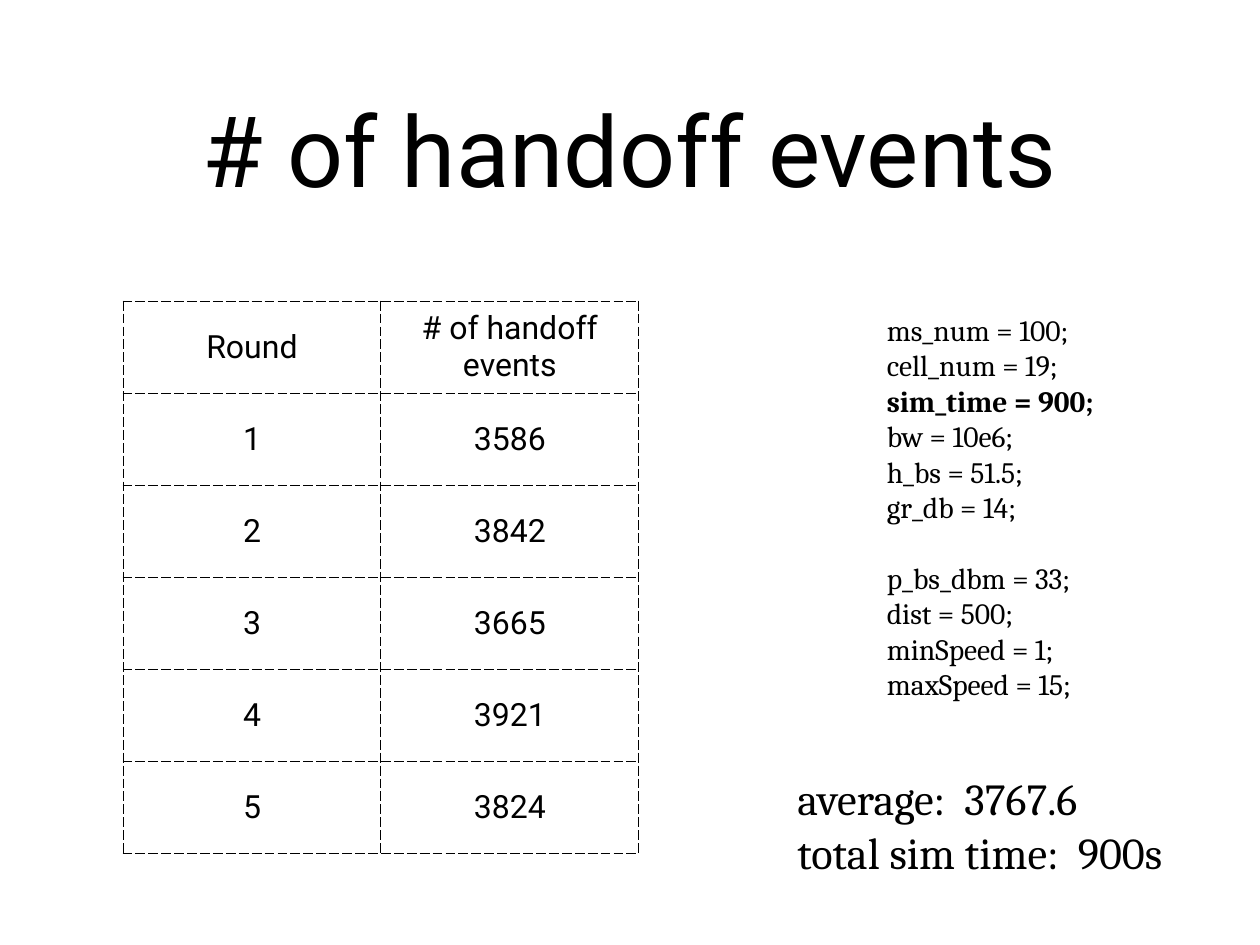
from dataclasses import dataclass

from lxml.etree import SubElement
from pptx import Presentation
from pptx.dml.color import RGBColor
from pptx.enum.text import MSO_ANCHOR as Anchor, PP_ALIGN as Align
from pptx.oxml.ns import qn
from pptx.slide import Slide
from pptx.table import _Cell as Cell
from pptx.text.text import TextFrame
from pptx.util import Inches, Pt

SLIDE_WIDTH, SLIDE_HEIGHT = Inches(14.22), Inches(10.67)
GRID_COLUMNS, GRID_ROWS = 128, 96
INSET = Inches(0.06)
BLACK = "000000"
SANS, SERIF = "Roboto", "Cambria"

TITLE = "# of handoff events"
HANDOFFS = [3586, 3842, 3665, 3921, 3824]


@dataclass(frozen=True)
class Box:
    """A rectangle in grid columns and rows."""
    column: float
    row: float
    columns: float
    rows: float

    def lengths(self) -> tuple[int, int, int, int]:
        return (across(self.column), down(self.row),
                across(self.columns), down(self.rows))


@dataclass(frozen=True)
class Note:
    box: Box
    size: float
    lines: tuple[str, ...]
    bold_line: str = ""
    group_start: str = ""


TITLE_BOX = Box(9.36, 4.41, 109.27, 21.24)
TABLE_BOX = Box(12.5, 30.6, 52.4, 56.16)
NOTES = [
    Note(Box(80.46, 77.4, 41.58, 12.78), 36,
         ("average:  3767.6", "total sim time:  900s")),
    Note(Box(89.55, 29.61, 27.99, 43.74), 24,
         ("ms_num = 100;", "cell_num = 19;", "sim_time = 900;", "bw = 10e6;",
          "h_bs = 51.5;", "gr_db = 14;", "p_bs_dbm = 33;", "dist = 500;",
          "minSpeed = 1;", "maxSpeed = 15;"),
         bold_line="sim_time = 900;", group_start="p_bs_dbm = 33;"),
]


def across(columns: float) -> int:
    return round(SLIDE_WIDTH * columns / GRID_COLUMNS)


def down(rows: float) -> int:
    return round(SLIDE_HEIGHT * rows / GRID_ROWS)


def color(value: str) -> RGBColor:
    return RGBColor.from_string(value)


def write(frame: TextFrame, *lines: str, size: float, font: str,
          align: Align = Align.LEFT, bold_line: str = "",
          group_start: str = "") -> None:
    """Fill a frame, leaving one line's height above group_start."""
    for index, line in enumerate(lines):
        paragraph = frame.paragraphs[0] if index == 0 else frame.add_paragraph()
        paragraph.alignment = align
        if line == group_start:
            paragraph.space_before = Pt(size * 1.2)
        run = paragraph.add_run()
        run.text = line
        run.font.name = font
        run.font.size = Pt(size)
        run.font.bold = line == bold_line
        run.font.color.rgb = color(BLACK)


def set_insets(target: TextFrame | Cell) -> None:
    target.margin_left = target.margin_right = INSET
    target.margin_top = target.margin_bottom = INSET
    target.vertical_anchor = Anchor.MIDDLE


def add_dashed_borders(cell: Cell) -> None:
    properties = cell._tc.get_or_add_tcPr()
    for side in ("lnL", "lnR", "lnT", "lnB"):
        line = SubElement(properties, qn(f"a:{side}"), w=str(Pt(1)))
        fill = SubElement(line, qn("a:solidFill"))
        SubElement(fill, qn("a:srgbClr"), val=BLACK)
        SubElement(line, qn("a:prstDash"), val="lgDash")


def add_title(slide: Slide) -> None:
    title = slide.shapes.title
    title.left, title.top, title.width, title.height = TITLE_BOX.lengths()
    title.text_frame.word_wrap = True
    set_insets(title.text_frame)
    write(title.text_frame, TITLE, size=80, font=SANS, align=Align.CENTER)


def add_handoff_table(slide: Slide) -> None:
    records = [("Round", TITLE)]
    records += [(str(number), str(count))
                for number, count in enumerate(HANDOFFS, start=1)]
    table = slide.shapes.add_table(len(records), 2, *TABLE_BOX.lengths()).table
    table.first_row = table.horz_banding = False
    for row, record in enumerate(records):
        for column, text in enumerate(record):
            cell = table.cell(row, column)
            set_insets(cell)
            add_dashed_borders(cell)
            cell.fill.background()
            write(cell.text_frame, text, size=26, font=SANS, align=Align.CENTER)


def add_note(slide: Slide, note: Note) -> None:
    frame = slide.shapes.add_textbox(*note.box.lengths()).text_frame
    frame.word_wrap = True
    set_insets(frame)
    write(frame, *note.lines, size=note.size, font=SERIF,
          bold_line=note.bold_line, group_start=note.group_start)


def main() -> None:
    presentation = Presentation()
    presentation.slide_width = SLIDE_WIDTH
    presentation.slide_height = SLIDE_HEIGHT
    slide = presentation.slides.add_slide(presentation.slide_layouts[5])
    add_title(slide)
    add_handoff_table(slide)
    for note in NOTES:
        add_note(slide, note)
    presentation.save("out.pptx")


if __name__ == "__main__":
    main()
